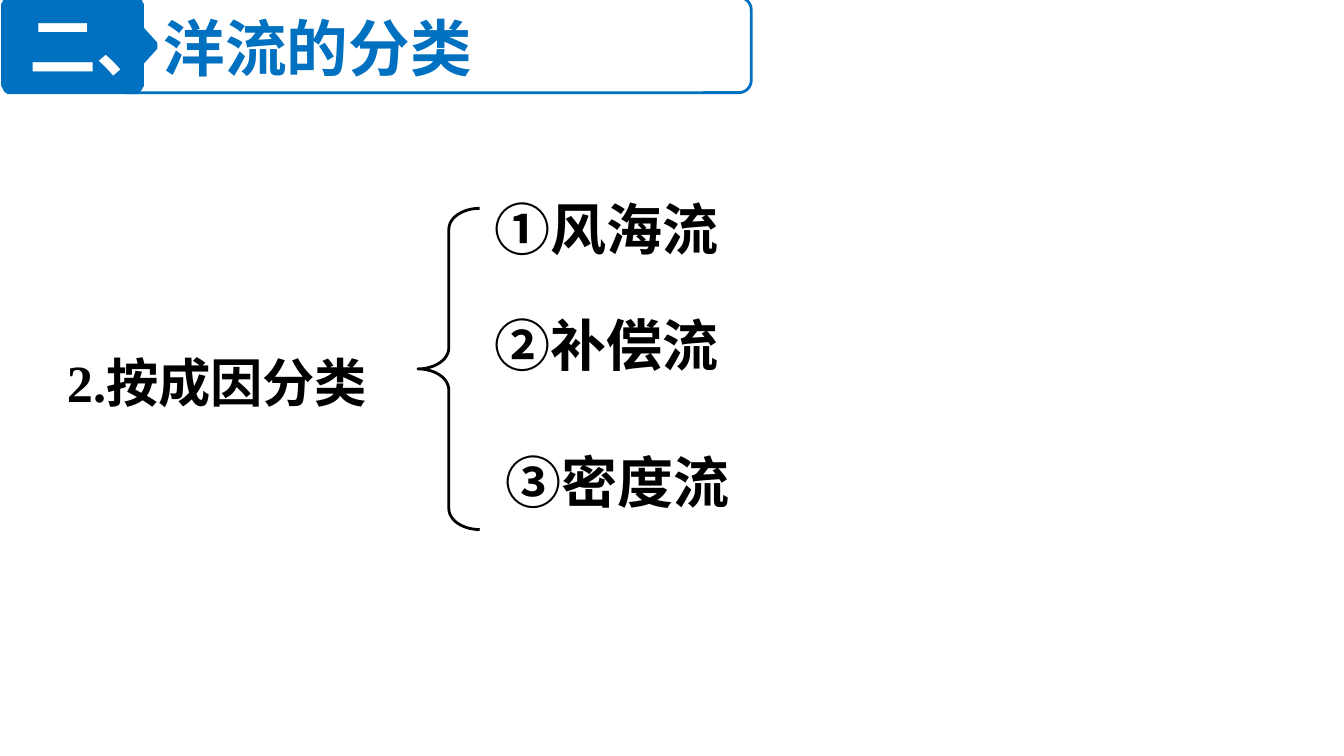
from typing import NamedTuple

from pptx import Presentation
from pptx.dml.color import RGBColor
from pptx.enum.shapes import MSO_SHAPE
from pptx.enum.text import MSO_AUTO_SIZE, PP_ALIGN
from pptx.oxml.ns import qn
from pptx.util import Pt
from lxml import etree

ROUND = MSO_SHAPE.ROUNDED_RECTANGLE
BRACE = MSO_SHAPE.LEFT_BRACE
GROW = MSO_AUTO_SIZE.SHAPE_TO_FIT_TEXT
LEFT = PP_ALIGN.LEFT
JUST = PP_ALIGN.JUSTIFY

SCALE = 9144
COLORS = {"ink": "000000", "blue": "0070C0", "white": "FFFFFF"}


class Box(NamedTuple):
    left: int
    top: int
    width: int
    height: int


class Label(NamedTuple):
    text: str
    box: Box
    size: int
    font: str


class Curve(NamedTuple):
    start: tuple[int, int]
    ctrl: tuple[int, int]
    end: tuple[int, int]


LABELS = [
    Label("2.按成因分类", Box(40, 256, 307, 57), 28, "Times New Roman"),
    Label("①风海流", Box(358, 140, 250, 60), 30, "Calibri"),
    Label("②补偿流", Box(358, 226, 242, 60), 30, "Calibri"),
    Label("③密度流", Box(366, 328, 226, 60), 30, "Calibri"),
]
TAG = [
    Curve((99, -2), (106, -2), (106, 6)),
    Curve((115, 31), (118, 34), (115, 37)),
    Curve((106, 61), (106, 69), (99, 69)),
    Curve((8, 69), (2, 69), (2, 61)),
    Curve((2, 6), (2, -2), (8, -2)),
]
NOTCH = {0: (106, 21), 1: (106, 47)}


def emu(box: Box) -> list[int]:
    return [n * SCALE for n in box]


def color(name: str) -> RGBColor:
    return RGBColor.from_string(COLORS[name])


def outline(shape, name: str) -> None:
    shape.shadow.inherit = False
    shape.line.color.rgb = color(name)
    shape.line.width = Pt(1.5)


def add_run(para, text: str, *, size: int, font: str, ink: str = "ink") -> None:
    run = para.add_run()
    run.text = text
    run.font.size = Pt(size)
    run.font.name = font
    run.font.bold = True
    run.font.color.rgb = color(ink)


def add_para(slide, box: Box, align=LEFT):
    frame = slide.shapes.add_textbox(*emu(box)).text_frame
    frame.word_wrap = True
    frame.auto_size = GROW
    para = frame.paragraphs[0]
    para.alignment = align
    return para


def add_brace(slide, box: Box) -> None:
    brace = slide.shapes.add_shape(BRACE, *emu(box))
    brace.adjustments[0] = 0.34
    brace.adjustments[1] = 0.5
    brace.fill.background()
    outline(brace, "ink")


def add_frame(slide, box: Box) -> None:
    frame = slide.shapes.add_shape(ROUND, *emu(box))
    frame.adjustments[0] = 0.13
    frame.fill.solid()
    frame.fill.fore_color.rgb = color("white")
    tint = frame.fill._xPr.find(qn("a:solidFill"))[0]
    etree.SubElement(tint, qn("a:alpha"), val="85000")
    outline(frame, "blue")


def trace(curve: Curve, steps: int = 10) -> list[tuple[float, float]]:
    points = []
    for i in range(steps + 1):
        t = i / steps
        points.append(tuple(
            (1 - t) ** 2 * a + 2 * t * (1 - t) * b + t * t * c
            for a, b, c in zip(*curve)
        ))
    return points


def add_tag(slide) -> None:
    points = []
    for i, curve in enumerate(TAG):
        points += trace(curve)
        if i in NOTCH:
            points.append(NOTCH[i])
    form = slide.shapes.build_freeform(*points[0], scale=SCALE)
    form.add_line_segments(points[1:], close=True)
    tag = form.convert_to_shape()
    tag.fill.solid()
    tag.fill.fore_color.rgb = color("blue")
    outline(tag, "blue")


def main() -> None:
    deck = Presentation()
    deck.slide_width = 1000 * SCALE
    deck.slide_height = deck.slide_width * 9 // 16
    slide = deck.slides.add_slide(deck.slide_layouts[6])
    for label in LABELS:
        para = add_para(slide, label.box)
        add_run(para, label.text, size=label.size, font=label.font)
    add_brace(slide, Box(311, 155, 46, 239))
    add_frame(slide, Box(85, -2, 474, 71))
    add_tag(slide)
    title = add_para(slide, Box(12, -2, 693, 70), JUST)
    add_run(title, "二、", size=36, font="Calibri", ink="white")
    add_run(title, "洋流的分类", size=33, font="Noto Sans CJK SC", ink="blue")
    deck.save("out.pptx")


if __name__ == "__main__":
    main()
